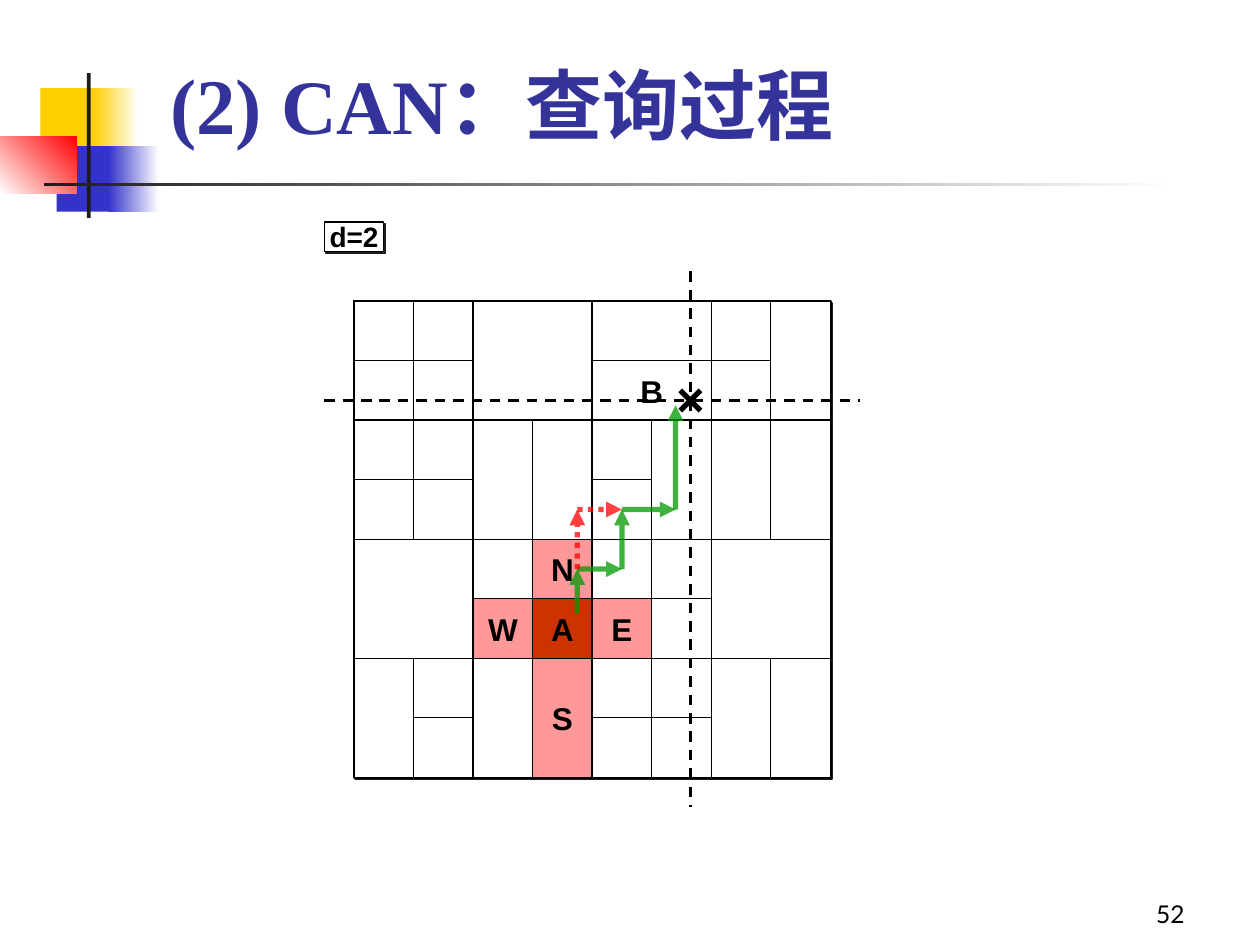
from lxml.etree import SubElement
from pptx import Presentation
from pptx.dml.color import RGBColor
from pptx.enum.dml import MSO_LINE
from pptx.enum.shapes import MSO_CONNECTOR, MSO_SHAPE
from pptx.enum.text import MSO_ANCHOR, MSO_AUTO_SIZE, PP_ALIGN
from pptx.oxml.ns import qn
from pptx.util import Inches, Pt

BLACK, WHITE, SHADE = "000000", "FFFFFF", "1C1C1C"
YELLOW, BLUE, RED = "FFCF01", "3333CC", "FF0000"
NEIGHBOUR, START, ROUTE = "FF9999", "CC3300", "009900"

TITLE = [("(2)", 45), (" CAN：查询过程", 44)]
PAGE_NUMBER = "52"
DIMENSION = "d=2"

DECORATION = [
    (0.32, 0.7, 0.48, 0.52, [YELLOW], 0),
    (0.74, 0.7, 0.36, 0.52, [YELLOW, WHITE], 0),
    (0.45, 1.16, 0.46, 0.52, [BLUE], 0),
    (0.86, 1.16, 0.4, 0.52, [BLUE, WHITE], 0),
    (0, 1.08, 0.61, 0.46, [WHITE, RED], 45),
    (0.69, 0.58, 0.03, 1.15, [SHADE], 0),
    (0.35, 1.45, 9, 0.03, [SHADE, WHITE], 0),
]

BOARD_LEFT, BOARD_TOP, BOARD_SIZE, CELLS = 2.81, 2.39, 3.78, 8
UNIT = BOARD_SIZE / CELLS

ZONES = {
    (1, 1): [(0, 0), (0, 1), (0, 2), (0, 3), (1, 0), (1, 1), (1, 2), (1, 3),
             (1, 6), (1, 7), (2, 4), (2, 5), (3, 4), (3, 5),
             (4, 2), (4, 3), (4, 4), (4, 5), (4, 6), (4, 7),
             (5, 4), (5, 5), (5, 6), (5, 7), (6, 0), (6, 1)],
    (1, 2): [(0, 6), (2, 2), (2, 6), (3, 2), (3, 6), (5, 2),
             (6, 2), (6, 6), (7, 0), (7, 2), (7, 6)],
    (2, 1): [(4, 0), (4, 1)],
    (2, 2): [(0, 4), (2, 0), (6, 4)],
}
LABELS = {
    (2, 5): ("W", NEIGHBOUR),
    (3, 4): ("N", NEIGHBOUR),
    (3, 5): ("A", START),
    (3, 6): ("S", NEIGHBOUR),
    (4, 5): ("E", NEIGHBOUR),
    (4, 1): ("B", WHITE),
}

TARGET_COL, TARGET_ROW, CROSS, OVERHANG = 5.65, 1.67, 0.17, 0.5
CHOSEN_ROUTE = [(3.75, 5.25), (3.75, 4.5), (4.5, 4.5), (4.5, 3.5), (5.4, 3.5), (5.4, 1.75)]
OTHER_ROUTE = [(3.75, 4.5), (3.75, 3.5), (4.5, 3.5)]


def rgb(value):
    return RGBColor.from_string(value)


def grid_point(col, row):
    return Inches(BOARD_LEFT + col * UNIT), Inches(BOARD_TOP + row * UNIT)


def add_block(left, top, width, height, fills, angle=0):
    block = slide.shapes.add_shape(MSO_SHAPE.RECTANGLE, left, top, width, height)
    block.shadow.inherit = False
    block.line.fill.background()
    if len(fills) == 1:
        block.fill.solid()
        block.fill.fore_color.rgb = rgb(fills[0])
    else:
        block.fill.gradient()
        block.fill.gradient_angle = angle
        for stop, value in zip(block.fill.gradient_stops, fills):
            stop.color.rgb = rgb(value)
    return block


def style_text(paragraph, font_name, size, bold, align):
    paragraph.alignment = align
    paragraph.font.name = font_name
    paragraph.font.size = Pt(size)
    paragraph.font.bold = bold
    paragraph.font.color.rgb = rgb(BLACK)


def add_zone(col, row, cols, rows, fill=WHITE, label="", size=18, border=0.75):
    zone = add_block(*grid_point(col, row), Inches(cols * UNIT), Inches(rows * UNIT), [fill])
    zone.line.color.rgb = rgb(BLACK)
    zone.line.width = Pt(border)
    if label:
        frame = zone.text_frame
        frame.word_wrap = False
        frame.vertical_anchor = MSO_ANCHOR.MIDDLE
        frame.text = label
        style_text(frame.paragraphs[0], "Arial", size, True, PP_ALIGN.CENTER)
    return zone


def cast_shadow(shape):
    effects = shape._element.spPr.find(qn("a:effectLst"))
    shadow = SubElement(effects, qn("a:outerShdw"), dist=str(Pt(1.4)), dir="2700000",
                        algn="ctr", rotWithShape="0")
    SubElement(shadow, qn("a:srgbClr"), val=SHADE)


def add_line(shapes, start, end, color=BLACK, width=1.5, dash=None):
    line = shapes.add_connector(MSO_CONNECTOR.STRAIGHT, *grid_point(*start), *grid_point(*end))
    line.line.color.rgb = rgb(color)
    line.line.width = Pt(width)
    if dash:
        line.line.dash_style = dash
    SubElement(line._element.spPr, qn("a:effectLst"))
    return line


def add_route(points, color, dash):
    route = slide.shapes.add_group_shape()
    for start, end in zip(points, points[1:]):
        hop = add_line(route.shapes, start, end, color, 3, dash)
        outline = hop.line._get_or_add_ln()
        SubElement(outline.find(".//" + qn("a:srgbClr")), qn("a:alpha"), val="75000")
        SubElement(outline, qn("a:tailEnd"), type="triangle")


presentation = Presentation()
presentation.slide_width, presentation.slide_height = Inches(10), Inches(7.5)
slide = presentation.slides.add_slide(presentation.slide_layouts[5])

for *box, fills, angle in DECORATION:
    add_block(*map(Inches, box), fills, angle)

page = slide.shapes.add_textbox(Inches(7.42), Inches(6.92), Inches(2.08), Inches(0.5))
page.text_frame.word_wrap = True
page.text_frame.vertical_anchor = MSO_ANCHOR.BOTTOM
page.text_frame.text = PAGE_NUMBER
style_text(page.text_frame.paragraphs[0], "Lato", 14, False, PP_ALIGN.RIGHT)

title = slide.shapes.title
title.left, title.top, title.width, title.height = map(Inches, (1.25, 0.39, 8.52, 0.85))
title.text_frame.vertical_anchor = MSO_ANCHOR.BOTTOM
title.text_frame.auto_size = MSO_AUTO_SIZE.SHAPE_TO_FIT_TEXT
heading = title.text_frame.paragraphs[0]
style_text(heading, "Times New Roman", 44, True, PP_ALIGN.LEFT)
heading.font.color.rgb = rgb("333399")
for words, size in TITLE:
    part = heading.add_run()
    part.text = words
    part.font.size = Pt(size)

cast_shadow(add_zone(0, 0, CELLS, CELLS, border=1.5))
for (cols, rows), corners in ZONES.items():
    for corner in corners:
        label, fill = LABELS.get(corner, ("", WHITE))
        add_zone(*corner, cols, rows, fill, label)

near, far = -OVERHANG, CELLS + OVERHANG
add_line(slide.shapes, (TARGET_COL, near), (TARGET_COL, far), dash=MSO_LINE.DASH)
add_line(slide.shapes, (near, TARGET_ROW), (far, TARGET_ROW), dash=MSO_LINE.DASH)
for slope in (CROSS, -CROSS):
    add_line(slide.shapes, (TARGET_COL - CROSS, TARGET_ROW - slope),
             (TARGET_COL + CROSS, TARGET_ROW + slope), width=3)

add_route(CHOSEN_ROUTE, ROUTE, MSO_LINE.SOLID)
cast_shadow(add_zone(-0.5, -1.33, 1, 0.5, label=DIMENSION, size=16))
add_route(OTHER_ROUTE, RED, MSO_LINE.ROUND_DOT)

presentation.save("out.pptx")
